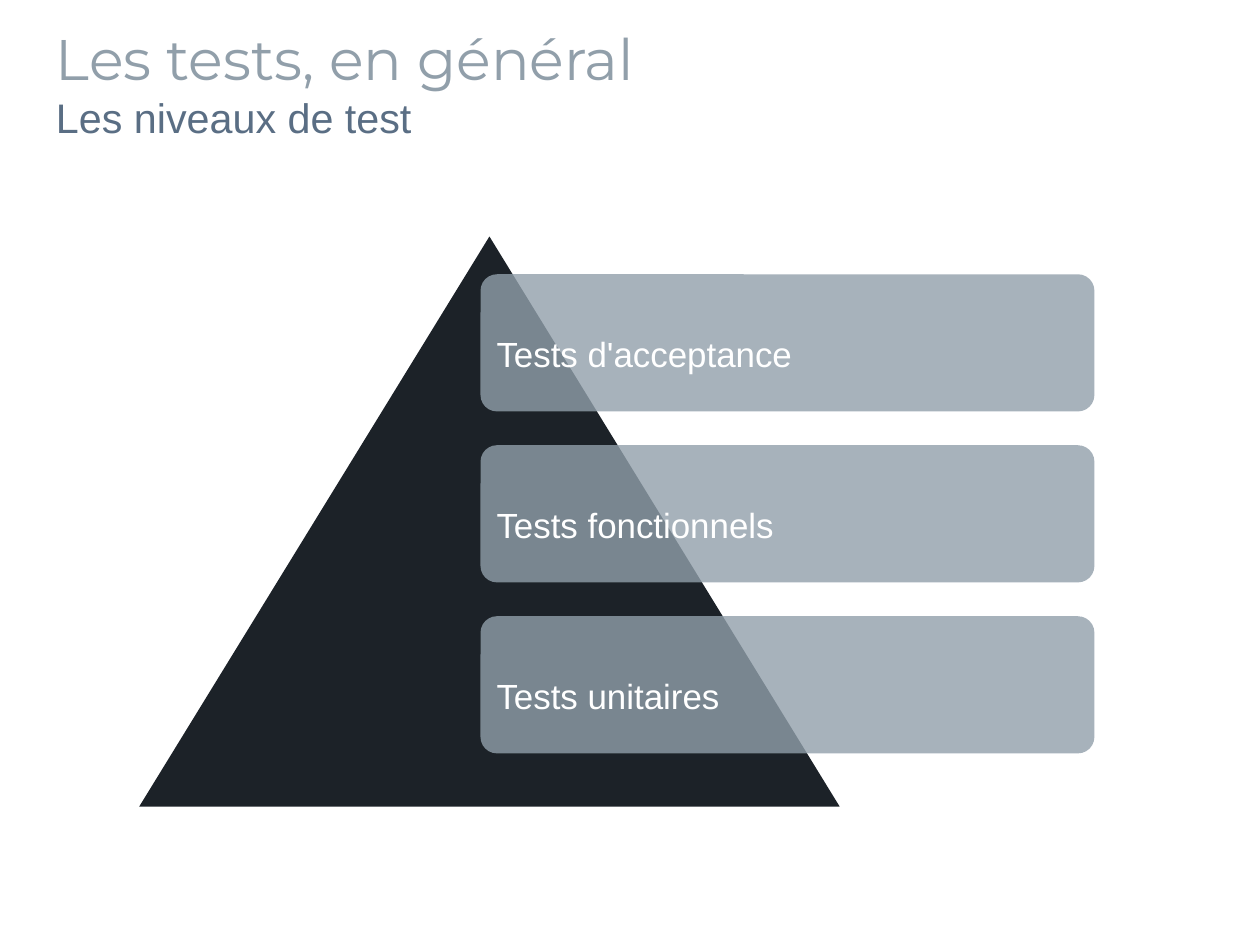
from dataclasses import dataclass

import pptx
import pptx.dml.color
import pptx.enum.shapes
import pptx.enum.text
import pptx.oxml
import pptx.oxml.ns
import pptx.util
from pptx.util import Pt

WHITE = "FFFFFF"
NIGHT = "1C2228"
GREY = "919FAA"
SLATE = "5A6E84"

LEVEL_LEFT, LEVEL_TOP = 302.7, 172.8
LEVEL_WIDTH, LEVEL_HEIGHT = 386.7, 86.4
LEVEL_PITCH = 107.7


@dataclass(frozen=True)
class Heading:
    text: str
    font: str
    size: float
    color: str


HEADINGS = [
    Heading("Les tests, en général", "Montserrat", 36, GREY),
    Heading("Les niveaux de test", "Arial", 26, SLATE),
]
TEST_LEVELS = ["Tests d'acceptance", "Tests fonctionnels", "Tests unitaires"]


def rgb(color: str) -> pptx.dml.color.RGBColor:
    return pptx.dml.color.RGBColor.from_string(color)


def write(paragraph, heading: Heading) -> None:
    paragraph.text = heading.text
    paragraph.alignment = pptx.enum.text.PP_ALIGN.LEFT
    paragraph.font.name = heading.font
    paragraph.font.size = Pt(heading.size)
    paragraph.font.color.rgb = rgb(heading.color)


def add_filled(slide, kind, left: float, top: float, width: float, height: float, color: str):
    shape = slide.shapes.add_shape(kind, Pt(left), Pt(top), Pt(width), Pt(height))
    shape.shadow.inherit = False
    shape.fill.solid()
    shape.fill.fore_color.rgb = rgb(color)
    shape.line.fill.background()
    return shape


def set_opacity(shape, percent: int) -> None:
    color = shape.element.spPr.find(".//" + pptx.oxml.ns.qn("a:srgbClr"))
    alpha = pptx.oxml.parse_xml(
        f'<a:alpha {pptx.oxml.ns.nsdecls("a")} val="{percent * 1000}"/>'
    )
    color.append(alpha)


def add_level(slide, index: int, label: str) -> None:
    level = add_filled(
        slide,
        pptx.enum.shapes.MSO_SHAPE.ROUNDED_RECTANGLE,
        LEVEL_LEFT,
        LEVEL_TOP + index * LEVEL_PITCH,
        LEVEL_WIDTH,
        LEVEL_HEIGHT,
        GREY,
    )
    level.adjustments[0] = 0.12
    set_opacity(level, 80)
    frame = level.text_frame
    frame.word_wrap = True
    frame.vertical_anchor = pptx.enum.text.MSO_ANCHOR.MIDDLE
    paragraph = frame.paragraphs[0]
    write(paragraph, Heading(label, "Arial", 22, WHITE))
    paragraph.line_spacing = 1.5


def add_headings(slide) -> None:
    title = slide.shapes.add_textbox(Pt(28.2), Pt(11.3), Pt(717.1), Pt(87.1))
    frame = title.text_frame
    frame.word_wrap = True
    frame.auto_size = pptx.enum.text.MSO_AUTO_SIZE.SHAPE_TO_FIT_TEXT
    for index, heading in enumerate(HEADINGS):
        paragraph = frame.add_paragraph() if index else frame.paragraphs[0]
        write(paragraph, heading)


def main() -> None:
    presentation = pptx.Presentation()
    presentation.slide_width = Pt(793.7)
    presentation.slide_height = Pt(595.28)
    slide = presentation.slides.add_slide(presentation.slide_layouts[6])

    add_filled(
        slide,
        pptx.enum.shapes.MSO_SHAPE.ISOSCELES_TRIANGLE,
        87.7, 149, 441.2, 359.1,
        NIGHT,
    )
    for index, label in enumerate(TEST_LEVELS):
        add_level(slide, index, label)
    add_headings(slide)

    presentation.save("out.pptx")


if __name__ == "__main__":
    main()
